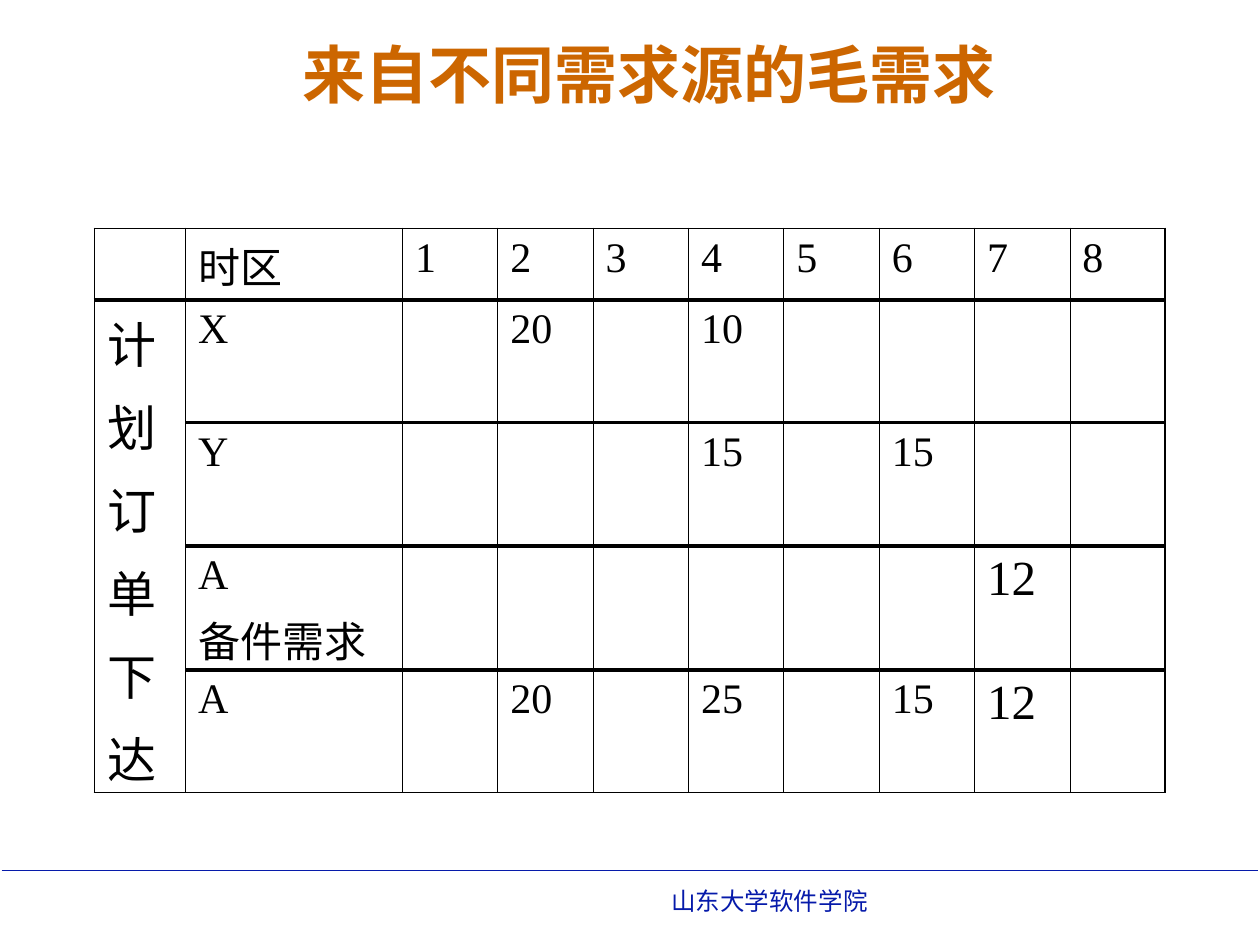
from pptx import Presentation
from pptx.dml.color import RGBColor
from pptx.enum.shapes import MSO_CONNECTOR
from pptx.enum.text import MSO_ANCHOR, PP_ALIGN
from pptx.oxml.ns import qn
from pptx.util import Pt
from lxml import etree

LINE = MSO_CONNECTOR.STRAIGHT
MIDDLE, TOP = MSO_ANCHOR.MIDDLE, MSO_ANCHOR.TOP
LEFT, CENTER = PP_ALIGN.LEFT, PP_ALIGN.CENTER
BLACK, BLUE, ORANGE = "000000", "061AAA", "CC6600"
THIN, EDGE, THICK = 0.45, 1.08, 2.21


def color(code):
    return RGBColor.from_string(code)


def write(frame, text, size=24, font="Times New Roman", fill=BLACK,
          bold=False, align=LEFT, anchor=TOP, gap=6):
    frame.word_wrap = True
    frame.vertical_anchor = anchor
    for i, row in enumerate(text.split("\n")):
        par = frame.paragraphs[0] if i == 0 else frame.add_paragraph()
        par.alignment = align
        if i:
            par.space_before = Pt(gap)
        run = par.add_run()
        run.text = row
        run.font.size = Pt(size)
        run.font.name = font
        run.font.bold = bold
        run.font.color.rgb = color(fill)


deck = Presentation()
deck.slide_width, deck.slide_height = Pt(720), Pt(540)
slide = deck.slides.add_slide(deck.slide_layouts[6])
shapes = slide.shapes

# Footer rule and school name
rule = shapes.add_connector(LINE, Pt(1), Pt(497.5), Pt(719), Pt(497.5))
rule.line.color.rgb = color(BLUE)
rule.line.width = Pt(1)
etree.SubElement(rule._element.spPr, qn("a:effectLst"))
foot = shapes.add_textbox(Pt(376.5), Pt(502.5), Pt(312), Pt(24.5))
write(foot.text_frame, "山东大学软件学院", size=14, font="Arial", fill=BLUE)

# Title
title = shapes.add_textbox(Pt(65), Pt(-3), Pt(612), Pt(90))
write(title.text_frame, "来自不同需求源的毛需求", size=36, fill=ORANGE,
      bold=True, align=CENTER, anchor=MIDDLE)

# Demand table
data = [
    ["", "时区", *"12345678"],
    ["计\n划\n订\n单\n下\n达", "X", "", "20", "", "10", "", "", "", ""],
    ["", "Y", "", "", "", "15", "", "15", "", ""],
    ["", "A\n备件需求", "", "", "", "", "", "", "12", ""],
    ["", "A", "", "20", "", "25", "", "15", "12", ""],
]
wide = [52, 124] + [54.5] * 8
high = [41, 70, 70.5, 70.5, 70]
last_row, last_col = len(high) - 1, len(wide) - 1
table = shapes.add_table(len(high), len(wide), Pt(54), Pt(130.5),
                         Pt(sum(wide)), Pt(sum(high))).table
table.first_row = table.horz_banding = False
for col, width in zip(table.columns, wide):
    col.width = Pt(width)
for row, height in zip(table.rows, high):
    row.height = Pt(height)
table.cell(1, 0).merge(table.cell(last_row, 0))

for r, row in enumerate(data):
    for c, text in enumerate(row):
        cell = table.cell(r, c)
        cell.margin_left = cell.margin_right = Pt(7.2)
        cell.margin_top = cell.margin_bottom = Pt(3.6)
        if text:
            big = text == "12" or (c == 0 and r > 0)
            write(cell.text_frame, text, size=28 if big else 24,
                  gap=7 if big else 6)

        # Borders come before the fill in the cell properties
        span = c == 0 and r > 0
        sides = {
            "L": EDGE if c == 0 else THIN,
            "R": EDGE if c == last_col else THIN,
            "T": EDGE if r == 0 else THICK,
            "B": THIN if span else EDGE if r == last_row else THICK,
        }
        props = cell._tc.get_or_add_tcPr()
        for side, width in sides.items():
            edge = etree.SubElement(props, qn("a:ln" + side), w=str(Pt(width)))
            paint = etree.SubElement(edge, qn("a:solidFill"))
            etree.SubElement(paint, qn("a:srgbClr"), val=BLACK)
        cell.fill.background()

deck.save("out.pptx")
